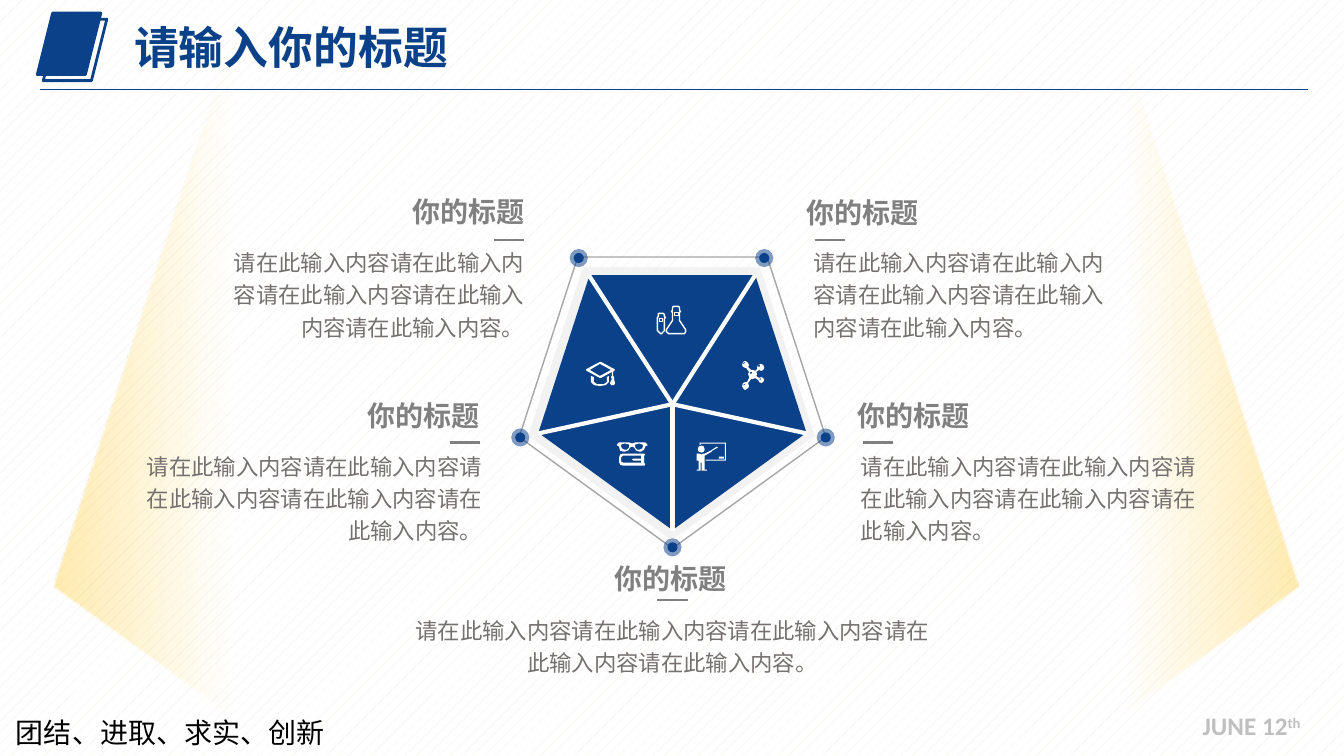
"""Build a title slide layout with a five-part pentagon and its captions."""
from dataclasses import dataclass

from lxml import etree
from pptx import Presentation
from pptx.dml.color import RGBColor
from pptx.enum.dml import MSO_PATTERN
from pptx.enum.shapes import MSO_CONNECTOR, MSO_SHAPE as Kind
from pptx.enum.text import MSO_ANCHOR as Anchor, MSO_AUTO_SIZE as Fit, PP_ALIGN as Align
from pptx.oxml import parse_xml
from pptx.oxml.ns import nsdecls, qn
from pptx.util import Inches, Pt

Box = tuple[float, float, float, float]
Point = tuple[float, float]
NAVY, GOLD, WHITE, GREY = "0B4189", "FFC000", "FFFFFF", "808080"
SANS = "Noto Sans CJK SC"
BODY = "请在此输入内容" * 5 + "。"


@dataclass
class Topic:
    head: Point
    body: Box
    dash: Point
    align: Align


@dataclass
class Icon:
    left: float
    top: float
    loops: list[str]
    solid: bool = True


TOPICS = [
    Topic((3.62, 1.84), (2.08, 2.37, 3.22, 1.04), (4.9, 2.38), Align.RIGHT),
    Topic((7.9, 1.85), (7.97, 2.37, 3.22, 1.04), (8.08, 2.38), Align.LEFT),
    Topic((3.18, 3.87), (1.23, 4.39, 3.65, 1.04), (4.46, 4.39), Align.RIGHT),
    Topic((8.41, 3.87), (8.44, 4.39, 3.66, 1.04), (8.56, 4.39), Align.LEFT),
    Topic((5.81, 5.48), (3.99, 6.02, 5.36, 0.72), (6.52, 5.95), Align.CENTER),
]
HUB = (6.67, 4.01)
TIPS = [(5.84, 2.73), (6.67, 5.27), (8, 4.3), (7.49, 2.73), (5.34, 4.3)]
DOTS = [(7.58, 2.56), (5.74, 2.56), (5.16, 4.34), (8.19, 4.34), (6.67, 5.43)]

ATOMS = Icon(7.35, 3.58, [
    "18 17 15 15 16 13 15 11 18 9 20 10 22 9 23 7 22 4 20 3 17 4 16 6 16 8 14 10 12 9 "
    "10 9 7 6 8 4 6 1 4 0 2 1 1 4 2 6 4 7 5 7 8 11 7 13 8 16 8 17 6 21 4 21 2 22 1 25 "
    "2 27 4 29 7 27 8 25 7 22 10 18 12 18 14 17 17 19 18 21 20 22 22 21 23 19 22 17 20 16",
    "2 24 3 23 4 23 4 24 3 24 3 25", "17 4 19 4 19 5 18 6 17 6", "2 3 2 2 4 1 4 2 3 3",
    "9 11 11 11 11 12 10 13 9 13", "18 18 20 17 20 18 19 19"])
FLASK = Icon(6.52, 3.04, [
    "28 23 22 14 22 6 23 5 22 4 22 1 21 0 16 0 15 1 15 4 14 5 15 6 15 14 9 23 9 25 "
    "11 27 27 27 28 25", "21 6 21 9 17 9 17 6",
    "7 10 7 8 6 7 1 7 1 10 0 11 0 24 3 27 4 27 7 24 7 12 8 11", "5 15 2 15 2 12 5 12"], False)
TUTOR = Icon(6.91, 4.39, [
    "22 14 27 14 27 16 22 16",
    "20 4 21 5 14 9 15 9 8 13 8 27 10 27 10 28 5 28 5 20 4 20 4 28 0 28 0 27 2 27 2 18 "
    "0 18 0 11 3 11 5 12 6 11 8 11 14 8", "5 3 7 4 8 7 7 9 5 10 2 9 1 7 2 4",
    "3 0 29 0 29 18 9 18 9 17 28 17 28 1 4 1 4 2 3 3"])
CAP = Icon(5.81, 3.59, [
    "5 14 8 15 8 20 11 22 18 22 21 20 21 15 23 14 23 20 20 23 14 24 8 23 5 20",
    "14 2 4 8 14 14 25 8",
    "14 0 15 0 28 7 29 8 28 9 27 10 27 14 28 15 28 17 29 21 28 23 25 23 24 21 26 17 "
    "25 15 26 14 26 10 15 16 14 16 1 9 0 8 1 7"])
BOOKS = Icon(6.12, 4.39, [
    "6 13 4 15 4 19 6 20 24 20 24 18 16 18 15 17 16 16 24 16 24 13",
    "6 11 27 11 28 12 27 13 27 20 28 22 27 23 6 23 3 22 2 19 2 15 3 12",
    "22 1 18 2 18 5 20 7 23 7 25 6 26 3 25 2", "8 1 4 2 4 4 5 6 7 7 10 7 12 5 12 2",
    "8 0 12 0 15 1 18 0 28 0 30 2 30 3 28 4 27 7 24 9 22 9 19 8 17 5 15 4 13 5 11 8 "
    "8 9 6 9 3 8 2 4 0 3 0 2 2 0"])


def hue(code: str) -> RGBColor:
    return RGBColor.from_string(code)


def paint(shape, fill: str | None = None, line: str | None = None, width: float = 1) -> None:
    shape.shadow.inherit = False
    if fill:
        shape.fill.solid()
        shape.fill.fore_color.rgb = hue(fill)
    else:
        shape.fill.background()
    if line:
        shape.line.color.rgb = hue(line)
        shape.line.width = Pt(width)
    else:
        shape.line.fill.background()


def shape(parent, kind: Kind, box: Box, fill: str | None = None,
          line: str | None = None, width: float = 1):
    item = parent.add_shape(kind, *map(Inches, box))
    paint(item, fill, line, width)
    return item


def penta(parent, box: Box, fill: str | None = None, line: str | None = None):
    item = shape(parent, Kind.REGULAR_PENTAGON, box, fill, line)
    item._element.spPr.find(qn("a:xfrm")).set("flipV", "1")
    return item


def glow(item) -> None:
    stops = "".join(
        f'<a:gs pos="{pos}000"><a:srgbClr val="{GOLD}"><a:alpha val="{alpha}000"/></a:srgbClr></a:gs>'
        for pos, alpha in [(0, 31), (14, 0), (86, 0), (100, 31)])
    item.fill.gradient()
    item.fill.gradient_angle = 0
    old = item._element.spPr.find(".//" + qn("a:gsLst"))
    old.getparent().replace(old, parse_xml(f'<a:gsLst {nsdecls("a")}>{stops}</a:gsLst>'))


def line(parent, start: Point, end: Point, color: str, width: float) -> None:
    item = parent.add_connector(MSO_CONNECTOR.STRAIGHT, *map(Inches, start + end))
    item.line.color.rgb = hue(color)
    item.line.width = Pt(width)
    etree.SubElement(item._element.spPr, qn("a:effectLst"))


def write(para, text: str, size: float, color: str, bold: bool = False, face: str = SANS):
    run = para.add_run()
    run.text = text
    font = run.font
    font.size, font.bold, font.name = Pt(size), bold, face
    font.color.rgb = hue(color)
    etree.SubElement(font._element, qn("a:ea")).set("typeface", face)
    return run


def label(parent, box: Box, align: Align = Align.LEFT, space: float = 1,
          anchor: Anchor = Anchor.TOP, wrap: bool = True):
    frame = parent.add_textbox(*map(Inches, box)).text_frame
    frame.word_wrap, frame.vertical_anchor = wrap, anchor
    frame.auto_size = Fit.SHAPE_TO_FIT_TEXT
    para = frame.paragraphs[0]
    para.alignment, para.line_spacing = align, space
    return para


def draw(parent, icon: Icon) -> None:
    pen = None
    for loop in icon.loops:
        nums = [int(n) / 100 for n in loop.split()]
        first, *rest = [(Inches(icon.left + x), Inches(icon.top + y))
                        for x, y in zip(nums[::2], nums[1::2])]
        if pen is None:
            pen = parent.build_freeform(*first)
        else:
            pen.move_to(*first)
        pen.add_line_segments(rest, close=True)
    paint(pen.convert_to_shape(), *((WHITE, None) if icon.solid else (None, WHITE)))


def main() -> None:
    deck = Presentation()
    deck.slide_width, deck.slide_height = Inches(13.33), Inches(7.5)
    slide = deck.slides.add_slide(deck.slide_layouts[5])
    back = slide.background.fill
    back.patterned()
    back.pattern = MSO_PATTERN.PERCENT_10
    back.fore_color.rgb, back.back_color.rgb = hue("EEECE1"), hue(WHITE)

    tree = slide.shapes
    write(label(tree, (0.06, 7.05, 3.81, 0.44)), "团结、进取、求实、创新", 20, "000000",
          face="Noto Sans CJK JP")
    badge = tree.add_group_shape().shapes
    for left, top, fill in [(0.37, 0.13, NAVY), (0.43, 0.19, None)]:
        shape(badge, Kind.PARALLELOGRAM, (left, top, 0.63, 0.61), fill, NAVY, 2)
    line(tree, (0.4, 0.89), (12.97, 0.89), NAVY, 0.75)

    title = tree.title
    title.left, title.top, title.width, title.height = map(Inches, (1.23, 0.21, 5.51, 0.67))
    frame = title.text_frame
    frame.auto_size, frame.vertical_anchor = Fit.NONE, Anchor.TOP
    para = frame.paragraphs[0]
    para.alignment, para.line_spacing = Align.LEFT, 0.9
    write(para, "请输入你的标题", 32, NAVY, True)

    date = label(tree, (11.83, 7, 1.2, 0.4), wrap=False)
    write(date, "JUNE 12", 18, "BFBFBF", True, "Calibri")
    write(date, "th", 18, "BFBFBF", True, "Calibri").font._element.set("baseline", "30000")

    glow(penta(tree, (0.54, -1.45, 12.34, 11.76)))
    penta(tree, (5.24, 2.65, 2.84, 2.71), "F2F2F2")
    penta(tree, (5.34, 2.73, 2.66, 2.53), NAVY)
    for tip in TIPS:
        line(tree, tip, HUB, WHITE, 3)
    penta(tree, (5.15, 2.55, 3.04, 2.89), line="A6A6A6")
    for x, y in DOTS:
        halo, _ = [shape(tree, Kind.OVAL, (x - d / 2, y - d / 2, d, d), NAVY) for d in (0.18, 0.1)]
        tint = halo._element.spPr.find(qn("a:solidFill"))[0]
        etree.SubElement(tint, qn("a:alpha")).set("val", "52000")
    for icon in (ATOMS, FLASK, TUTOR, CAP, BOOKS):
        draw(tree, icon)

    for topic in TOPICS:
        x, y = topic.dash
        write(label(tree, topic.body, topic.align, 1.2), BODY, 16, "767171")
        line(tree, (x, y), (x + 0.3, y), GREY, 1.5)
        head = label(tree, topic.head + (1.68, 0.47), topic.align, 1.2, Anchor.BOTTOM)
        write(head, "你的标题", 20, GREY, True)
    deck.save("out.pptx")


if __name__ == "__main__":
    main()
